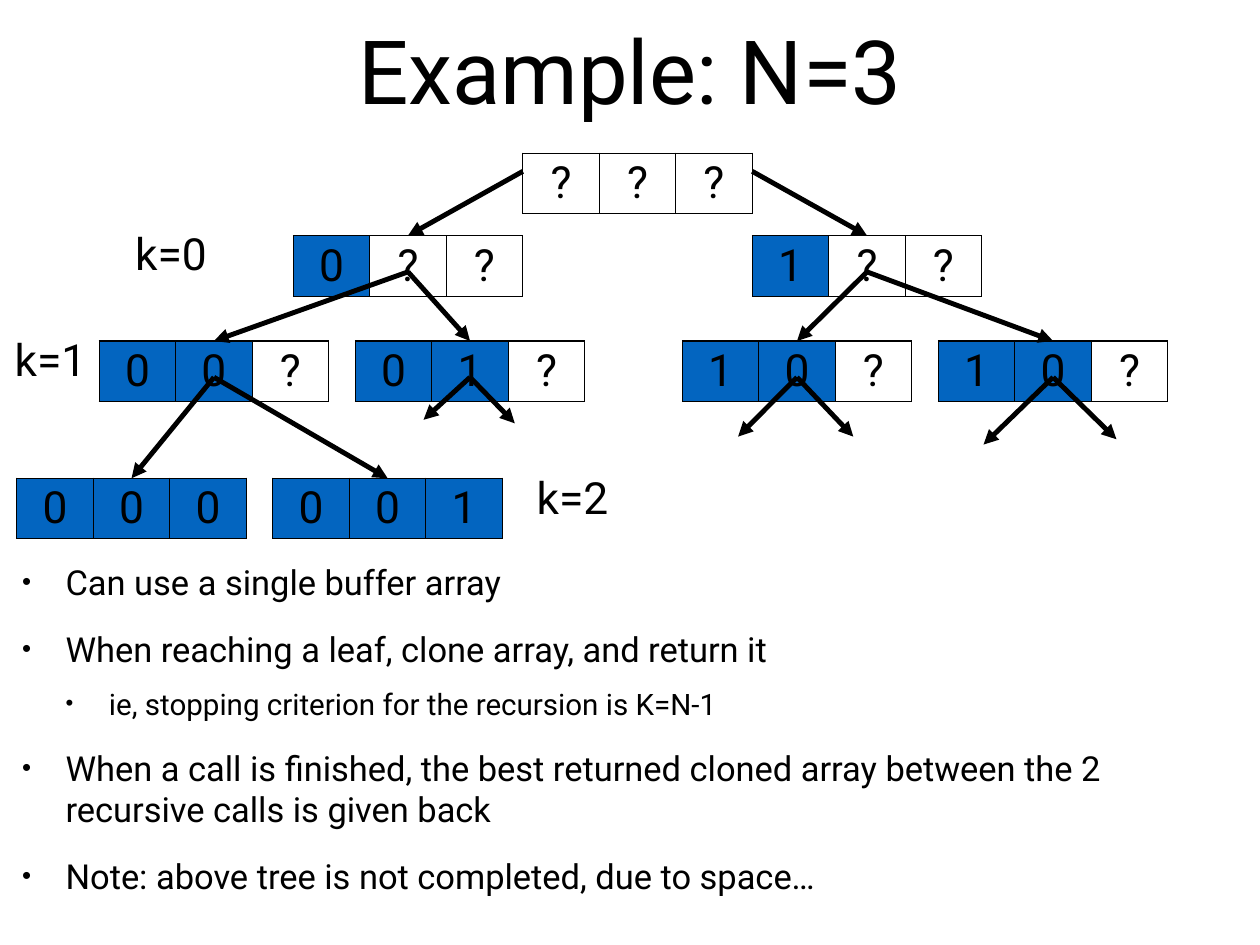
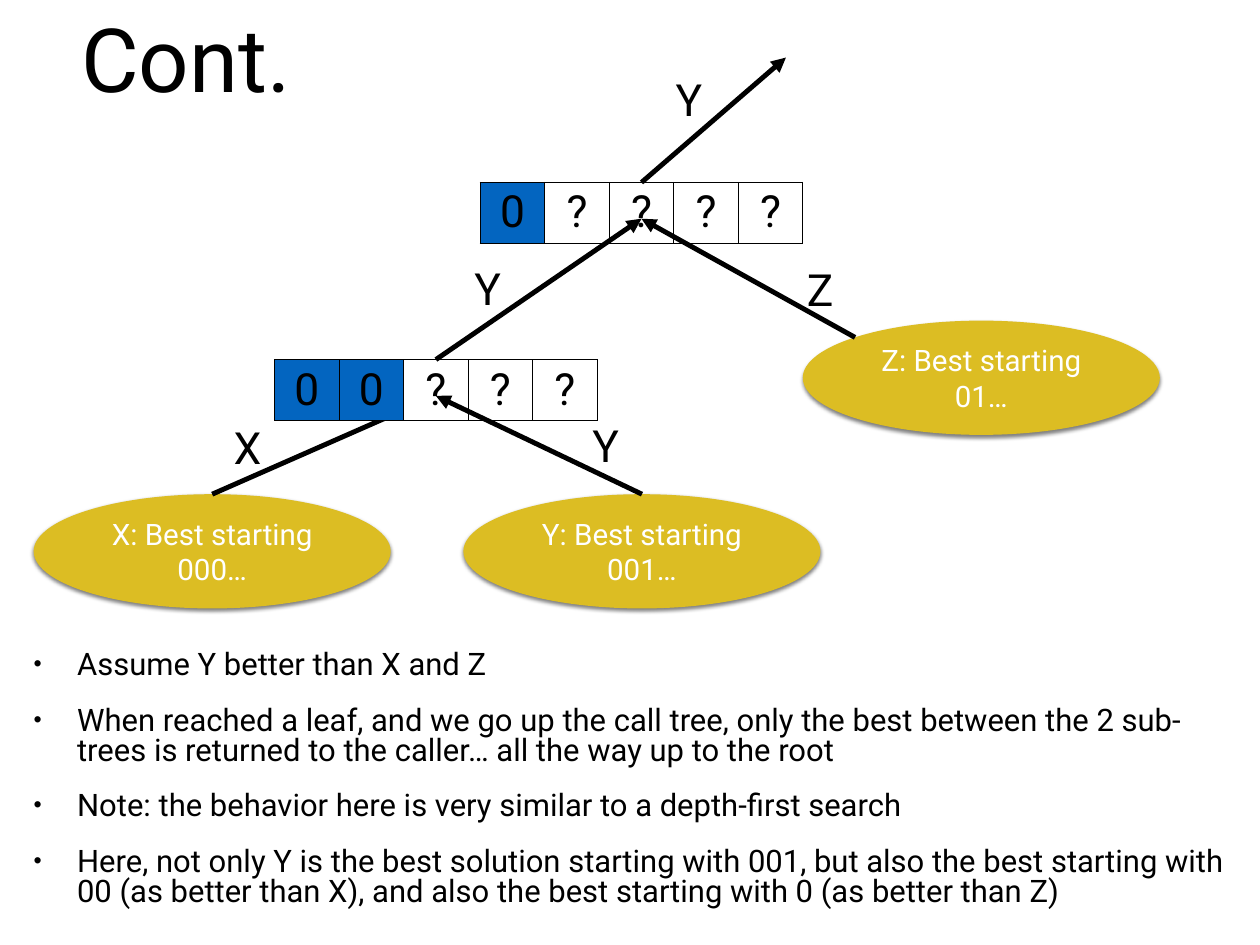
import collections

import lxml.etree
import pptx
import pptx.dml.color
import pptx.enum.shapes
import pptx.enum.text
import pptx.oxml.ns
import pptx.util

RGBColor = pptx.dml.color.RGBColor
Pt = pptx.util.Pt
qn = pptx.oxml.ns.qn
Align = pptx.enum.text.PP_ALIGN
Anchor = pptx.enum.text.MSO_ANCHOR
AutoSize = pptx.enum.text.MSO_AUTO_SIZE

BLACK = RGBColor(0x00, 0x00, 0x00)
WHITE = RGBColor(0xFF, 0xFF, 0xFF)
BLUE = RGBColor(0x03, 0x65, 0xC0)
GOLD = RGBColor(0xDC, 0xBD, 0x23)
FONT = "Roboto"

PX = 9144  # EMU, a hundredth of an inch
SLIDE_SIZE = (1422, 1067)
INSET = 6
INDENT = 49
ROW_HEIGHT = 41

Box = collections.namedtuple("Box", "left top width height")

# Slide 1: the recursion tree
ARRAY_WIDTH = 259
SIBLING_STEP = 289
LEVEL_TOPS = (173, 266, 385, 540)
TREE_TITLE = ("Example: N=3", Box(104, 17, 1214, 121))
TREE_BULLETS_BOX = Box(19, 616, 1307, 414)
TREE_BULLETS = [
    (0, "Can use a single buffer array"),
    (0, "When reaching a leaf, clone array, and return it"),
    (1, "ie, stopping criterion for the recursion is K=N-1"),
    (0, "When a call is finished, the best returned cloned array between the 2 "
        "recursive calls is given back"),
    (0, "Note: above tree is not completed, due to space…"),
]
# name: (cells, level, left)
TREE_ARRAYS = {
    "root": ("???", 0, 590),
    "left": ("0??", 1, 590 - ARRAY_WIDTH),
    "right": ("1??", 1, 590 + ARRAY_WIDTH),
    "left-left": ("00?", 2, 112),
    "left-right": ("01?", 2, 112 + SIBLING_STEP),
    "right-left": ("10?", 2, 770),
    "right-right": ("10?", 2, 770 + SIBLING_STEP),
    "first leaf": ("000", 3, 19),
    "second leaf": ("001", 3, 19 + SIBLING_STEP),
}
# parent, start (share of width, share of height), child
TREE_CALLS = [
    ("root", (0, 0.5), "left"),
    ("root", (1, 0.5), "right"),
    ("left", (0.5, 1), "left-left"),
    ("left", (0.5, 1), "left-right"),
    ("right", (0.5, 1), "right-left"),
    ("right", (0.5, 1), "right-right"),
    ("left-left", (0.5, 1), "first leaf"),
    ("left-left", (0.5, 1), "second leaf"),
]
OPEN_CALLS = {
    "left-right": [(478, 474), (581, 478)],
    "right-left": [(833, 493), (963, 493)],
    "right-right": [(1110, 502), (1260, 496)],
}
LEVEL_LABELS = [("k=0", 144, 249), ("k=1", 8, 369), ("k=2", 597, 525)]

# Slide 2: what each call returns
RETURN_TITLE = ("Cont.", Box(32, 14, 356, 102))
RETURN_BULLETS_BOX = Box(32, 717, 1373, 328)
RETURN_BULLETS = [
    (0, "Assume Y better than X and Z"),
    (0, "When reached a leaf, and we go up the call tree, only the best between "
        "the 2 sub-trees is returned to the caller… all the way up to the root"),
    (0, "Note: the behavior here is very similar to a depth-first search"),
    (0, "Here, not only Y is the best solution starting with 001, but also the best "
        "starting with 00 (as better than X), and also the best starting with 0 "
        "(as better than Z)"),
]
UPPER_ARRAY = ("0????", Box(542, 206, 364, ROW_HEIGHT))
LOWER_ARRAY = ("00???", Box(310, 406, 364, ROW_HEIGHT))
SUBTREE_SIZE = (403, 129)
SUBTREES = {
    "X": ("X: Best starting 000…", 38, 558),
    "Y": ("Y: Best starting 001…", 523, 558),
    "Z": ("Z: Best starting 01…", 906, 362),
}
Z_EXIT = (965, 381)
CALLER = (887, 65)
RETURN_LABELS = [("X", 226, 468), ("Y", 724, 76), ("Y", 497, 289),
                 ("Z", 872, 290), ("Y", 630, 466)]


def emu(*lengths):
    return [round(length * PX) for length in lengths]


def point(box, across, down):
    """Place on a box, given as shares of its width and height."""
    return (box.left + box.width * across, box.top + box.height * down)


def write(para, text, size=36, color=BLACK, align=Align.CENTER):
    para.alignment = align
    span = para.add_run()
    span.text = text
    span.font.name = FONT
    span.font.size = Pt(size)
    span.font.color.rgb = color


def set_frame(frame, wrap=True, fit=AutoSize.NONE):
    frame.word_wrap = wrap
    frame.auto_size = fit
    frame.vertical_anchor = Anchor.MIDDLE
    frame.margin_left, frame.margin_top, frame.margin_right, frame.margin_bottom = (
        emu(*[INSET] * 4))


def place(shape, box):
    shape.left, shape.top, shape.width, shape.height = emu(*box)


def add_page(deck, title, bullets, bullets_box, sizes, line_spacing=1.0):
    page = deck.slides.add_slide(deck.slide_layouts[1])
    text, title_box = title
    place(page.shapes.title, title_box)
    set_frame(page.shapes.title.text_frame)
    write(page.shapes.title.text_frame.paragraphs[0], text, size=72)

    body = page.placeholders[1]
    place(body, bullets_box)
    set_frame(body.text_frame)
    for number, (level, text) in enumerate(bullets):
        frame = body.text_frame
        para = frame.add_paragraph() if number else frame.paragraphs[0]
        para.level = level
        para.line_spacing = line_spacing
        para.space_before = Pt((21, 13)[level])
        write(para, text, size=sizes[level], align=Align.LEFT)
        add_bullet(para, level)
    return page


def add_bullet(para, level):
    properties = para._p.get_or_add_pPr()
    margin, indent = emu(INDENT * (level + 1), -INDENT)
    properties.set("marL", str(margin))
    properties.set("indent", str(indent))
    lxml.etree.SubElement(properties, qn("a:buSzPct"), val="75000")
    lxml.etree.SubElement(properties, qn("a:buChar"), char="•")


def add_array(page, cells, box):
    """Draw one array; decided cells are blue and open ones white."""
    table = page.shapes.add_table(1, len(cells), *emu(*box)).table
    table.first_row = table.horz_banding = False
    for index, text in enumerate(cells):
        table.columns[index].width = emu(box.width / len(cells))[0]
        cell = table.cell(0, index)
        write(cell.text_frame.paragraphs[0], text)
        add_borders(cell)
        cell.fill.solid()
        cell.fill.fore_color.rgb = WHITE if text == "?" else BLUE


def add_borders(cell):
    properties = cell._tc.get_or_add_tcPr()
    for side in ("lnL", "lnR", "lnT", "lnB"):
        line = lxml.etree.SubElement(properties, qn("a:" + side), w=str(Pt(1)))
        fill = lxml.etree.SubElement(line, qn("a:solidFill"))
        lxml.etree.SubElement(fill, qn("a:srgbClr"), val=str(BLACK))


def add_arrow(page, start, end, source=None):
    """Draw an arrow; a source shape is joined at its top."""
    arrow = page.shapes.add_connector(
        pptx.enum.shapes.MSO_CONNECTOR.STRAIGHT, *emu(*start, *end))
    if source is not None:
        arrow.begin_connect(source, 0)
    arrow.line.color.rgb = BLACK
    arrow.line.width = Pt(4)
    properties = arrow._element.spPr
    lxml.etree.SubElement(properties.find(qn("a:ln")), qn("a:tailEnd"), type="triangle")
    lxml.etree.SubElement(properties, qn("a:effectLst"))


def add_label(page, text, left, top, width, wrap=True):
    label = page.shapes.add_textbox(*emu(left, top, width, 72))
    set_frame(label.text_frame, wrap=wrap, fit=AutoSize.SHAPE_TO_FIT_TEXT)
    write(label.text_frame.paragraphs[0], text)


def add_subtree(page, text, box):
    oval = page.shapes.add_shape(pptx.enum.shapes.MSO_SHAPE.OVAL, *emu(*box))
    oval.fill.solid()
    oval.fill.fore_color.rgb = GOLD
    oval.line.fill.background()
    oval.shadow.inherit = False
    effects = oval._element.spPr.find(qn("a:effectLst"))
    shadow = lxml.etree.SubElement(
        effects, qn("a:outerShdw"), blurRad=str(Pt(3)), dist=str(Pt(2)),
        dir="5400000", rotWithShape="0")
    color = lxml.etree.SubElement(shadow, qn("a:srgbClr"), val=str(BLACK))
    lxml.etree.SubElement(color, qn("a:alpha"), val="50000")
    set_frame(oval.text_frame)
    write(oval.text_frame.paragraphs[0], text, size=24, color=WHITE)
    return oval


def build_tree_page(deck):
    page = add_page(deck, TREE_TITLE, TREE_BULLETS, TREE_BULLETS_BOX, sizes=(28, 24))
    boxes = {}
    for name, (cells, level, left) in TREE_ARRAYS.items():
        boxes[name] = Box(left, LEVEL_TOPS[level], ARRAY_WIDTH, ROW_HEIGHT)
        add_array(page, cells, boxes[name])
    for text, left, top in LEVEL_LABELS:
        add_label(page, text, left, top, 98, wrap=False)
    for parent, start, child in TREE_CALLS:
        add_arrow(page, point(boxes[parent], *start), point(boxes[child], 0.5, 0))
    for parent, ends in OPEN_CALLS.items():
        for end in ends:
            add_arrow(page, point(boxes[parent], 0.5, 1), end)


def build_return_page(deck):
    page = add_page(deck, RETURN_TITLE, RETURN_BULLETS, RETURN_BULLETS_BOX,
                    sizes=(25.2,), line_spacing=0.8)
    boxes, ovals = {}, {}
    for name, (text, left, top) in SUBTREES.items():
        boxes[name] = Box(left, top, *SUBTREE_SIZE)
        ovals[name] = add_subtree(page, text, boxes[name])

    upper, lower = UPPER_ARRAY[1], LOWER_ARRAY[1]
    upper_entry, lower_entry = point(upper, 0.5, 1), point(lower, 0.5, 1)
    # The arrow from X passes behind the lower array
    add_arrow(page, point(boxes["X"], 0.5, 0), lower_entry, source=ovals["X"])
    add_array(page, *UPPER_ARRAY)
    add_array(page, *LOWER_ARRAY)
    add_arrow(page, point(boxes["Y"], 0.5, 0), lower_entry, source=ovals["Y"])
    add_arrow(page, Z_EXIT, upper_entry)
    add_arrow(page, point(lower, 0.5, 0), upper_entry)
    add_arrow(page, point(upper, 0.5, 0), CALLER)
    for text, left, top in RETURN_LABELS:
        add_label(page, text, left, top, 107)


def main():
    deck = pptx.Presentation()
    deck.slide_width, deck.slide_height = emu(*SLIDE_SIZE)
    build_tree_page(deck)
    build_return_page(deck)
    deck.save("out.pptx")


if __name__ == "__main__":
    main()
